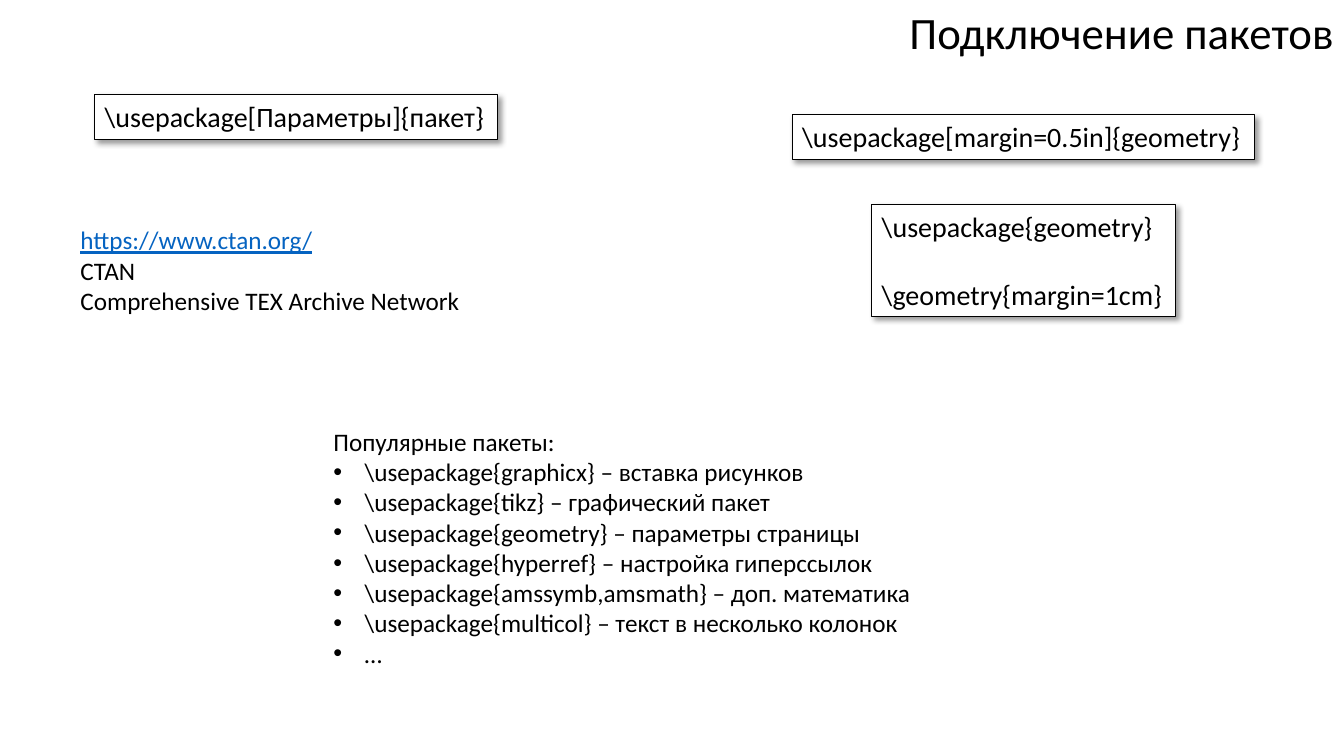
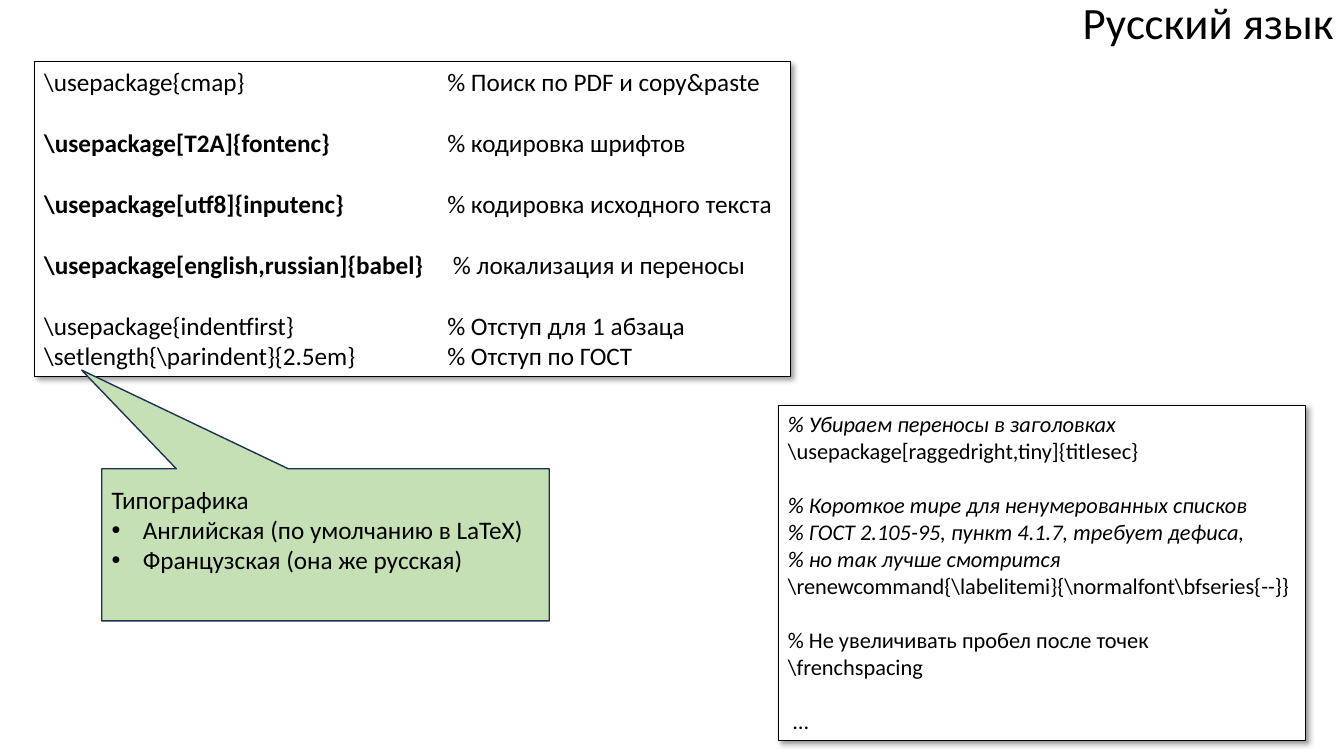
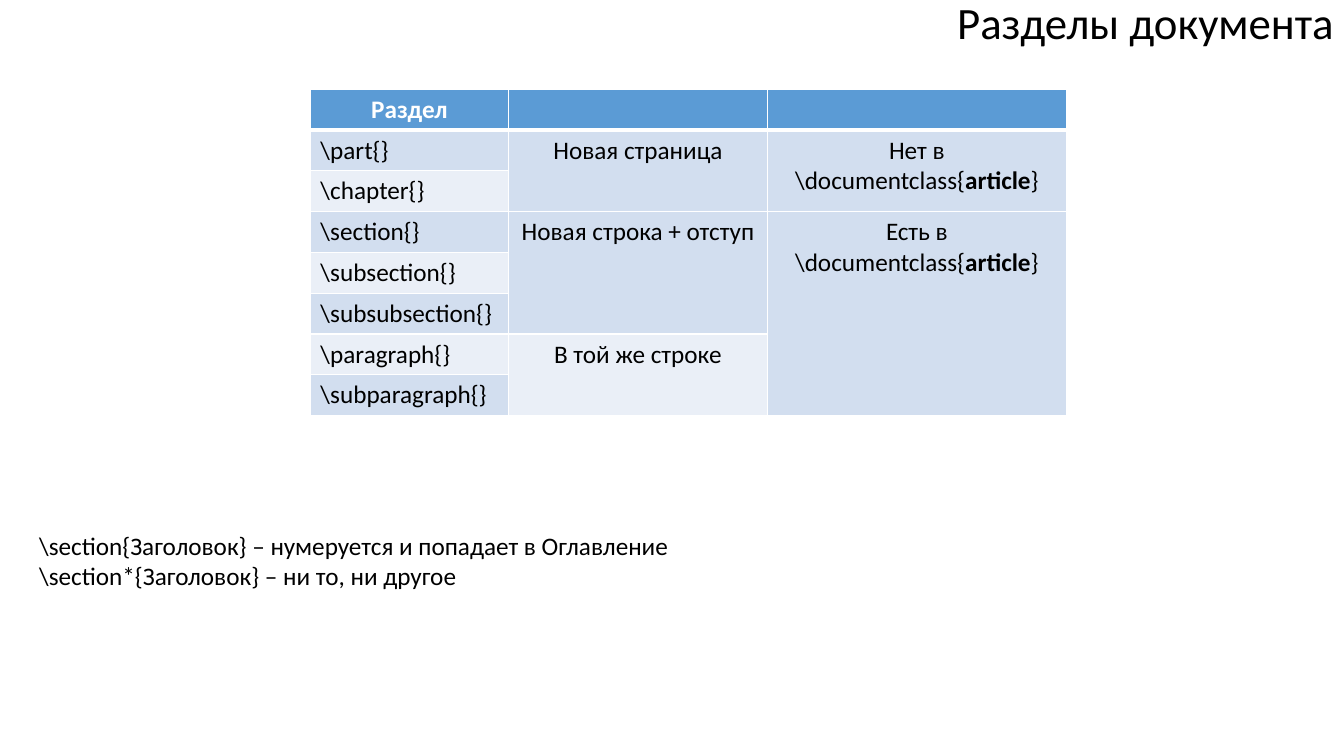
from dataclasses import dataclass

from lxml.etree import SubElement
from pptx import Presentation
from pptx.dml.color import RGBColor
from pptx.enum.shapes import MSO_SHAPE
from pptx.enum.text import MSO_ANCHOR, MSO_AUTO_SIZE, PP_ALIGN
from pptx.oxml.ns import qn
from pptx.util import Emu, Pt

EMU_PER_PX = 4572  # 200 px to the inch
SLIDE_W, SLIDE_H = 2667, 1500
FONT = "Calibri"
LINE_HEIGHT = 1.22
BULLET_INDENT = 62
COMMENT_TAB = 800
INSET = 10

BLACK, WHITE = "000000", "FFFFFF"
LINK_BLUE = "0563C1"
CALLOUT_GREEN, CALLOUT_EDGE = "C5E0B4", "1E3256"
HEADER_BLUE, BAND_DARK, BAND_LIGHT = "5B9BD5", "D2DEEF", "EAEFF7"


@dataclass(frozen=True)
class Span:
    text: str
    bold: bool = False
    italic: bool = False
    underline: bool = False
    color: str = BLACK


@dataclass(frozen=True)
class Line:
    spans: tuple[Span, ...]
    bullet: bool = False
    gap: bool = False  # one line of space above
    centered: bool = False


@dataclass(frozen=True)
class Box:
    left: int
    top: int
    width: int
    height: int


@dataclass(frozen=True)
class Title:
    text: str
    width: int
    top: int = -20


@dataclass(frozen=True)
class Group:
    """Table cell that spans several rows."""
    row: int
    col: int
    rows: int
    line: Line


def px(length):
    return Emu(length * EMU_PER_PX)


def rgb(color):
    return RGBColor.from_string(color)


def line(text, bullet=False, gap=False, centered=False, **style):
    return Line((Span(text, **style),), bullet, gap, centered)


def place(box):
    return px(box.left), px(box.top), px(box.width), px(box.height)


def write(frame, lines, size):
    for index, content in enumerate(lines):
        paragraph = frame.paragraphs[0] if index == 0 else frame.add_paragraph()
        paragraph.alignment = PP_ALIGN.CENTER if content.centered else PP_ALIGN.LEFT
        if content.gap:
            paragraph.space_before = Pt(round(size * LINE_HEIGHT, 2))
        for span in content.spans:
            run = paragraph.add_run()
            run.text = span.text
            font = run.font
            font.name, font.size = FONT, Pt(size)
            font.bold, font.italic, font.underline = span.bold, span.italic, span.underline
            font.color.rgb = rgb(span.color)
        properties = paragraph._p.get_or_add_pPr()
        if content.bullet:
            properties.set("marL", str(px(BULLET_INDENT)))
            properties.set("indent", str(-px(BULLET_INDENT)))
            SubElement(properties, qn("a:buFont"), typeface="Arial")
            SubElement(properties, qn("a:buChar"), char="•")
        if any("\t" in span.text for span in content.spans):
            tabs = SubElement(properties, qn("a:tabLst"))
            SubElement(tabs, qn("a:tab"), pos=str(px(COMMENT_TAB)), algn="l")


def add_text(slide, box, lines, size=18, wrap=True):
    frame = slide.shapes.add_textbox(*place(box)).text_frame
    frame.word_wrap = wrap
    frame.auto_size = MSO_AUTO_SIZE.SHAPE_TO_FIT_TEXT
    write(frame, lines, size)
    return frame


def add_panel(slide, preset, box, fill, edge, edge_width):
    panel = slide.shapes.add_shape(preset, *place(box))
    panel.shadow.inherit = False
    panel.fill.solid()
    panel.fill.fore_color.rgb = rgb(fill)
    panel.line.color.rgb = rgb(edge)
    panel.line.width = Pt(edge_width)
    return panel


def add_code(slide, box, lines, size=20):
    """White shadowed frame around lines of source code."""
    panel = add_panel(slide, MSO_SHAPE.RECTANGLE, box, WHITE, BLACK, 0.75)
    effects = panel._element.spPr.find(qn("a:effectLst"))
    shadow = SubElement(effects, qn("a:outerShdw"), blurRad=str(Pt(4)), dist=str(Pt(3)),
                        dir="2700000", algn="tl", rotWithShape="0")
    color = SubElement(shadow, qn("a:srgbClr"), val=BLACK)
    SubElement(color, qn("a:alpha"), val="40000")
    frame = panel.text_frame
    frame.word_wrap = False
    frame.auto_size = MSO_AUTO_SIZE.SHAPE_TO_FIT_TEXT
    frame.vertical_anchor = MSO_ANCHOR.TOP
    write(frame, lines, size)


def add_callout(slide, box, tip, lines):
    callout = add_panel(slide, MSO_SHAPE.RECTANGULAR_CALLOUT, box,
                        CALLOUT_GREEN, CALLOUT_EDGE, 1)
    callout.adjustments[0], callout.adjustments[1] = tip
    frame = callout.text_frame
    frame.word_wrap = True
    frame.vertical_anchor = MSO_ANCHOR.MIDDLE
    frame.margin_bottom = px(INSET) + Pt(18 * LINE_HEIGHT)
    write(frame, lines, 18)


def style_cell(cell, fill, bottom_width):
    properties = cell._tc.get_or_add_tcPr()
    for side, width in (("L", 1), ("R", 1), ("T", 1), ("B", bottom_width)):
        border = SubElement(properties, qn(f"a:ln{side}"), w=str(Pt(width)))
        SubElement(SubElement(border, qn("a:solidFill")), qn("a:srgbClr"), val=WHITE)
    cell.fill.solid()
    cell.fill.fore_color.rgb = rgb(fill)


def add_sections_table(slide, left, top, widths, row_height, header, commands, groups):
    row_count = len(commands) + 1
    box = Box(left, top, sum(widths), row_height * row_count)
    table = slide.shapes.add_table(row_count, len(widths), *place(box)).table
    for column, width in zip(table.columns, widths):
        column.width = px(width)
    for row in range(row_count):
        band = BAND_DARK if row % 2 else BAND_LIGHT
        for col in range(len(widths)):
            style_cell(table.cell(row, col), band if row else HEADER_BLUE, 1 if row else 3)
    first_column = [line(header, centered=True, bold=True, color=WHITE), *map(line, commands)]
    for row, content in enumerate(first_column):
        write(table.cell(row, 0).text_frame, [content], 18)
    for group in groups:
        origin = table.cell(group.row, group.col)
        origin.merge(table.cell(group.row + group.rows - 1, group.col))
        write(origin.text_frame, [group.line], 18)


def add_slide(deck, title):
    slide = deck.slides.add_slide(deck.slide_layouts[6])
    box = Box(SLIDE_W - title.width, title.top, title.width, 128)
    frame = add_text(slide, box, [line(title.text)], 32, wrap=False)
    frame.paragraphs[0].alignment = PP_ALIGN.RIGHT
    return slide


def build_packages(deck):
    slide = add_slide(deck, Title("Подключение пакетов", 890, 0))
    add_code(slide, Box(188, 188, 800, 88), [line("\\usepackage[Параметры]{пакет}")])
    add_text(slide, Box(140, 436, 1024, 202), [
        line("https://www.ctan.org/", underline=True, color=LINK_BLUE),
        line("CTAN"),
        line("Comprehensive TEX Archive Network"),
    ])
    add_code(slide, Box(1572, 228, 918, 88), [line("\\usepackage[margin=0.5in]{geometry}")])
    add_code(slide, Box(1730, 406, 602, 222), [
        line("\\usepackage{geometry}"),
        line("\\geometry{margin=1cm}", gap=True),
    ])
    popular = (
        "\\usepackage{graphicx} – вставка рисунков",
        "\\usepackage{tikz} – графический пакет",
        "\\usepackage{geometry} – параметры страницы",
        "\\usepackage{hyperref} – настройка гиперссылок",
        "\\usepackage{amssymb,amsmath} – доп. математика",
        "\\usepackage{multicol} – текст в несколько колонок",
        "…",
    )
    add_text(slide, Box(642, 836, 1298, 504),
             [line("Популярные пакеты:"), *(line(item, bullet=True) for item in popular)])


def build_russian(deck):
    slide = add_slide(deck, Title("Русский язык", 544))
    required = (
        ("\\usepackage[T2A]{fontenc}", "\t% кодировка шрифтов"),
        ("\\usepackage[utf8]{inputenc}", "\t% кодировка исходного текста"),
        ("\\usepackage[english,russian]{babel}", "\t % локализация и переносы"),
    )
    add_code(slide, Box(68, 122, 1500, 626), [
        line("\\usepackage{cmap}\t% Поиск по PDF и copy&paste"),
        *(Line((Span(command, bold=True), Span(comment)), gap=True)
          for command, comment in required),
        line("\\usepackage{indentfirst}\t% Отступ для 1 абзаца", gap=True),
        line("\\setlength{\\parindent}{2.5em}\t% Отступ по ГОСТ"),
    ], 18)
    add_callout(slide, Box(202, 930, 888, 302), (-0.545, -1.148), [
        line("Типографика"),
        line("Английская (по умолчанию в LaTeX)", bullet=True),
        line("Французская (она же русская)", bullet=True),
    ])
    add_code(slide, Box(1544, 804, 1046, 666), [
        line("% Убираем переносы в заголовках", italic=True),
        line("\\usepackage[raggedright,tiny]{titlesec}"),
        line("% Короткое тире для ненумерованных списков", gap=True, italic=True),
        line("% ГОСТ 2.105-95, пункт 4.1.7, требует дефиса,", italic=True),
        line("% но так лучше смотрится", italic=True),
        line("\\renewcommand{\\labelitemi}{\\normalfont\\bfseries{--}}"),
        line("% Не увеличивать пробел после точек", gap=True),
        line("\\frenchspacing"),
        line(" …", gap=True),
    ], 16)


def article_note(prefix):
    spans = (Span(f"{prefix} \\documentclass{{"), Span("article", bold=True), Span("}"))
    return Line(spans, centered=True)


def build_sections(deck):
    slide = add_slide(deck, Title("Разделы документа", 794))
    levels = ("part", "chapter", "section", "subsection", "subsubsection",
              "paragraph", "subparagraph")
    add_sections_table(
        slide, 616, 177, (393, 514, 593), 81, "Раздел",
        [f"\\{level}{{}}" for level in levels],
        (
            Group(1, 1, 2, line("Новая страница", centered=True)),
            Group(3, 1, 3, line("Новая строка + отступ", centered=True)),
            Group(6, 1, 2, line("В той же строке", centered=True)),
            Group(1, 2, 2, article_note("Нет в")),
            Group(3, 2, 5, article_note("Есть в")),
        ),
    )
    add_text(slide, Box(58, 1042, 1828, 142), [
        line("\\section{Заголовок} – нумеруется и попадает в Оглавление"),
        line("\\section*{Заголовок} – ни то, ни другое"),
    ])


def main():
    deck = Presentation()
    deck.slide_width, deck.slide_height = px(SLIDE_W), px(SLIDE_H)
    for build in (build_packages, build_russian, build_sections):
        build(deck)
    deck.save("out.pptx")


if __name__ == "__main__":
    main()
